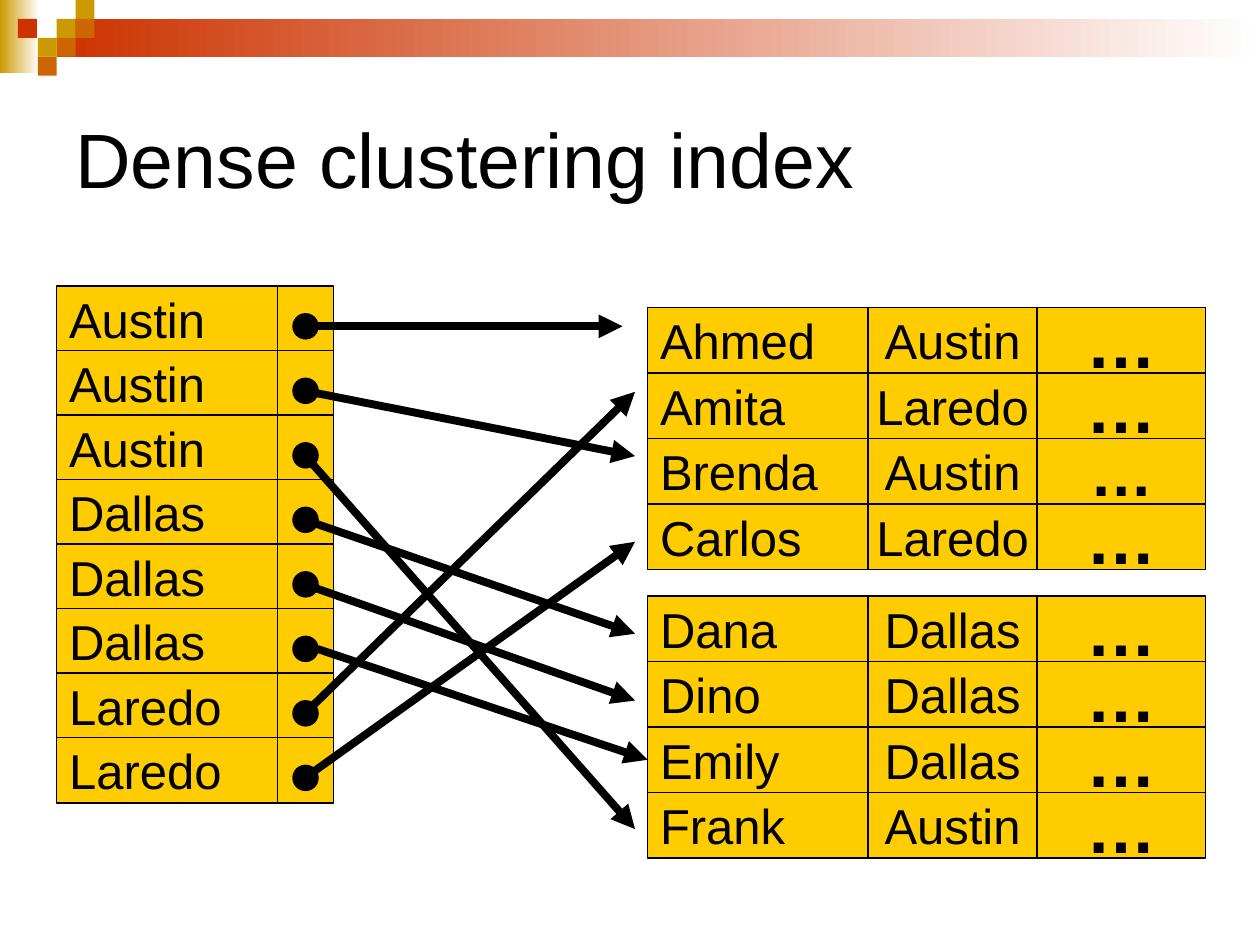
from lxml import etree
from pptx import Presentation
from pptx.dml.color import RGBColor
from pptx.enum.shapes import MSO_CONNECTOR, MSO_SHAPE
from pptx.enum.text import MSO_ANCHOR, PP_ALIGN
from pptx.oxml.ns import qn
from pptx.util import Inches, Pt

RECT, OVAL = MSO_SHAPE.RECTANGLE, MSO_SHAPE.OVAL
LINE = MSO_CONNECTOR.STRAIGHT
MIDDLE = MSO_ANCHOR.MIDDLE
LEFT, CENTER = PP_ALIGN.LEFT, PP_ALIGN.CENTER

FONT = "Arial"
COLORS = {
    "ink": "000000",
    "paper": "FFFFFF",
    "cell": "FFCC00",
    "gold": "CC9900",
    "red": "CC3300",
    "orange": "CC6600",
}

UNIT = 0.15
TILES = [
    (3, 1, "gold"), (4, 0, "gold"), (4, 1, "orange"), (2, 2, "gold"),
    (0.95, 1, "red"), (3, 2, "orange"), (2, 3, "orange"),
]

ROW = 0.52
KEY_LEFT, KEY_TOP, KEY_STEP = 0.45, 2.27, 0.512
KEY_WIDTH, LINK_WIDTH, DOT = 1.75, 0.45, 0.2
KEYS = ["Austin"] * 3 + ["Dallas"] * 3 + ["Laredo"] * 2

COLUMNS = [(5.14, 1.75, LEFT), (6.89, 1.34, CENTER), (8.23, 1.34, CENTER)]
BLOCKS = [
    (2.44, [("Ahmed", "Austin", 40), ("Amita", "Laredo", 40),
            ("Brenda", "Austin", 36), ("Carlos", "Laredo", 40)]),
    (4.73, [("Dana", "Dallas", 40), ("Dino", "Dallas", 40),
            ("Emily", "Dallas", 40), ("Frank", "Austin", 40)]),
]

START, STOP = 2.42, 5.04
ARROWS = [
    (START, 4.94, 2.59), (START, STOP, 3.62), (START, STOP, 6.58),
    (START, STOP, 5.03), (START, STOP, 5.56), (2.52, 5.14, 6.07),
    (START, STOP, 3.11), (START, STOP, 4.3),
]


def color(name):
    return RGBColor.from_string(COLORS[name])


def write(shape, text, size, align=LEFT, bold=False, wrap=False):
    frame = shape.text_frame
    frame.text = text
    frame.word_wrap = wrap
    frame.vertical_anchor = MIDDLE
    par = frame.paragraphs[0]
    par.alignment = align
    font = par.runs[0].font
    font.name, font.size, font.bold = FONT, Pt(size), bold
    font.color.rgb = color("ink")


def draw(slide, kind, left, top, width, height, fill, edge=False):
    box = map(Inches, (left, top, width, height))
    shape = slide.shapes.add_shape(kind, *box)
    shape.shadow.inherit = False
    shape.fill.solid()
    shape.fill.fore_color.rgb = color(fill)
    if edge:
        shape.line.color.rgb = color("ink")
        shape.line.width = Pt(0.75)
    else:
        shape.line.fill.background()
    return shape


def fade(shape, name):
    shape.fill.gradient()
    shape.fill.gradient_angle = 0
    for stop, place, tint in zip(shape.fill.gradient_stops, (0, 1), (name, "paper")):
        stop.position = place
        stop.color.rgb = color(tint)


def banner(slide):
    fade(draw(slide, RECT, 0, 0, 0.31, 0.58, "gold"), "gold")
    left = 3 * UNIT
    fade(draw(slide, RECT, left, UNIT, 10 - left, 2 * UNIT, "red"), "red")
    for col, row, name in TILES:
        draw(slide, RECT, col * UNIT, row * UNIT, UNIT, UNIT, name)


def title(slide, text):
    box = slide.shapes.add_textbox(*map(Inches, (0.5, 0.5, 9, 1.5)))
    write(box, text, 44, wrap=True)


def index(slide):
    link = KEY_LEFT + KEY_WIDTH
    for i, key in enumerate(KEYS):
        top = KEY_TOP + i * KEY_STEP
        cell = draw(slide, RECT, KEY_LEFT, top, KEY_WIDTH, ROW, "cell", True)
        write(cell, key, 28)
        draw(slide, RECT, link, top, LINK_WIDTH, ROW, "cell", True)
        draw(slide, OVAL, link + (LINK_WIDTH - DOT) / 2, top + 0.22,
             DOT, DOT, "ink", True)


def records(slide):
    names = {}
    for first, rows in BLOCKS:
        for i, (name, city, size) in enumerate(rows):
            cells = [(name, 28, False), (city, 28, False), ("…", size, True)]
            for (left, width, align), (text, pts, bold) in zip(COLUMNS, cells):
                cell = draw(slide, RECT, left, first + i * ROW, width, ROW, "cell", True)
                write(cell, text, pts, align, bold)
                names.setdefault(name, cell)
    return names


def arrow(slide, x1, y1, x2, y2):
    line = slide.shapes.add_connector(LINE, *map(Inches, (x1, y1, x2, y2)))
    line.line.color.rgb = color("ink")
    line.line.width = Pt(4.5)
    etree.SubElement(line.line._get_or_add_ln(), qn("a:tailEnd"), type="triangle")
    etree.SubElement(line._element.spPr, qn("a:effectLst"))
    return line


def links(slide, names):
    for i, (x1, x2, y2) in enumerate(ARROWS):
        line = arrow(slide, x1, KEY_TOP + 0.32 + i * KEY_STEP, x2, y2)
        if x2 == COLUMNS[0][0]:
            line.end_connect(names["Emily"], 1)


def main():
    deck = Presentation()
    deck.slide_width, deck.slide_height = Inches(10), Inches(7.5)
    slide = deck.slides.add_slide(deck.slide_layouts[6])
    banner(slide)
    title(slide, "Dense clustering index")
    index(slide)
    names = records(slide)
    links(slide, names)
    deck.save("out.pptx")


if __name__ == "__main__":
    main()
